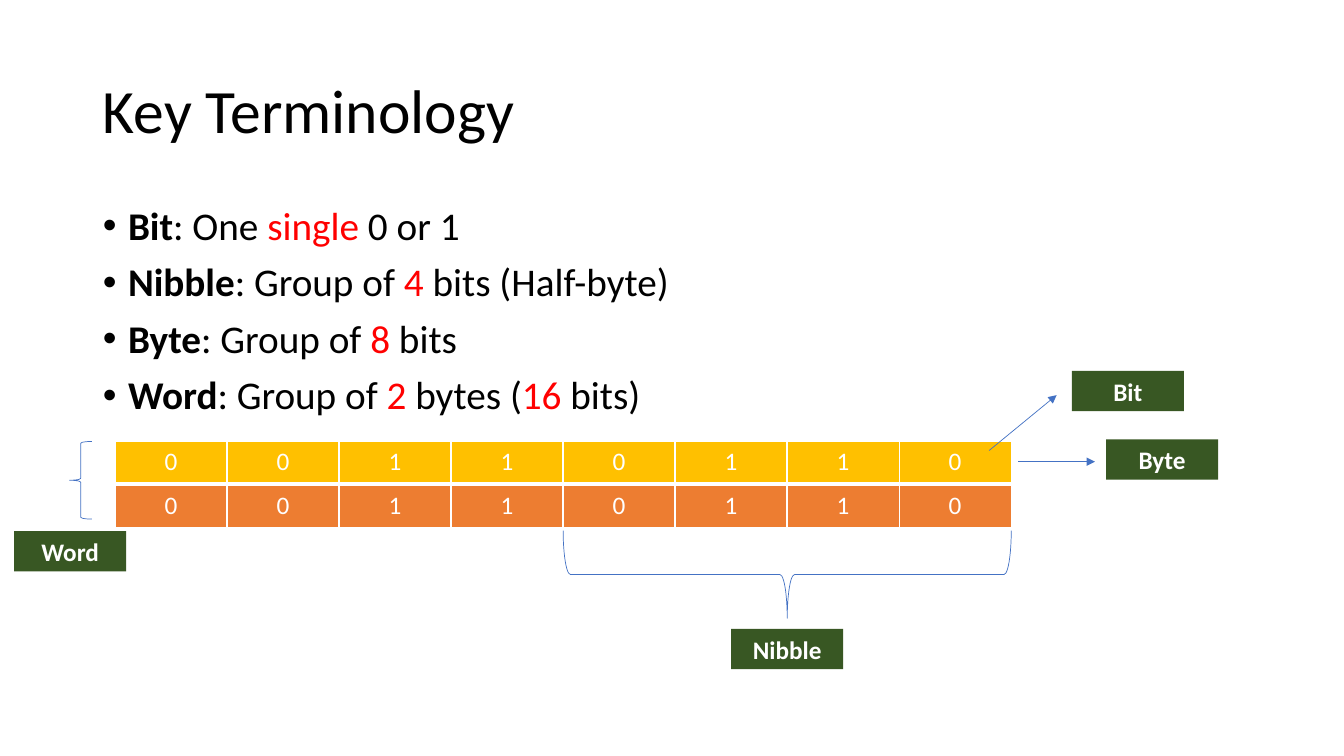
from pptx import Presentation
from pptx.dml.color import RGBColor
from pptx.enum.shapes import MSO_CONNECTOR as Connector, MSO_SHAPE as Shape
from pptx.enum.text import MSO_ANCHOR as Anchor, MSO_AUTO_SIZE as AutoSize, PP_ALIGN as Align
from pptx.oxml.ns import qn
from pptx.util import Inches, Pt
from lxml.etree import SubElement

FONT = "Calibri"
BLACK, WHITE, RED = "000000", "FFFFFF", "FF0000"
GOLD, ORANGE, GREEN, BLUE = "FFC000", "ED7D31", "385723", "4472C4"
BITS = "00110110"
GRID_LEFT, GRID_TOP = 1.14, 4.38
BIT_WIDTH, ROW_HEIGHT, ROW_STEP = 8.89 / len(BITS), 0.41, 0.44
LABEL_HEIGHT = 0.4
TERMS = [
    ("Bit", ": One *single* 0 or 1"),
    ("Nibble", ": Group of *4* bits (Half-byte)"),
    ("Byte", ": Group of *8* bits"),
    ("Word", ": Group of *2* bytes (*16* bits)"),
]


def column(number):
    return GRID_LEFT + number * BIT_WIDTH


def row(number):
    return GRID_TOP + number * ROW_STEP


def color(value):
    return RGBColor.from_string(value)


def style(para, size, shade, align, bold=False):
    para.alignment = align
    para.font.name = FONT
    para.font.size = Pt(size)
    para.font.bold = bold
    para.font.color.rgb = color(shade)


def place(box, left, top, width, height):
    box.left, box.top = Inches(left), Inches(top)
    box.width, box.height = Inches(width), Inches(height)


def add_title(page, text):
    title = page.shapes.title
    place(title, 0.92, 0.4, 11.5, 1.45)
    title.text_frame.text = text
    title.text_frame.vertical_anchor = Anchor.MIDDLE
    para = title.text_frame.paragraphs[0]
    para.line_spacing = 0.9
    style(para, 44, BLACK, Align.LEFT)


def add_terms(page):
    body = page.placeholders[1]
    place(body, 0.92, 2, 11.5, 4.76)
    frame = body.text_frame
    frame.auto_size = AutoSize.NONE
    for index, (term, meaning) in enumerate(TERMS):
        para = frame.add_paragraph() if index else frame.paragraphs[0]
        style(para, 28, BLACK, Align.LEFT)
        para.line_spacing, para.space_before = 0.9, Pt(10)
        properties = para._p.get_or_add_pPr()
        properties.set("marL", str(Inches(0.25)))
        properties.set("indent", str(-Inches(0.25)))
        span = para.add_run()
        span.text, span.font.bold = term, True
        for part, text in enumerate(meaning.split("*")):
            span = para.add_run()
            span.text = text
            if part % 2:
                span.font.color.rgb = color(RED)


def add_byte(page, number, fill):
    table = page.shapes.add_table(
        1, len(BITS), Inches(column(0)), Inches(row(number)),
        Inches(BIT_WIDTH * len(BITS)), Inches(ROW_HEIGHT)).table
    for cell, bit in zip(table.iter_cells(), BITS):
        cell.text = bit
        cell.fill.solid()
        cell.fill.fore_color.rgb = color(fill)
        style(cell.text_frame.paragraphs[0], 18, WHITE, Align.CENTER)


def add_label(page, text, left, top):
    box = page.shapes.add_shape(Shape.RECTANGLE, Inches(left), Inches(top),
                                Inches(BIT_WIDTH), Inches(LABEL_HEIGHT))
    box.shadow.inherit = False
    box.fill.solid()
    box.fill.fore_color.rgb = color(GREEN)
    box.line.fill.background()
    box.text_frame.text = text
    style(box.text_frame.paragraphs[0], 18, WHITE, Align.CENTER, True)


def draw_thin(line):
    line.color.rgb = color(BLUE)
    line.width = Pt(0.5)


def add_arrow(page, start, end):
    arrow = page.shapes.add_connector(
        Connector.STRAIGHT, *(Inches(length) for length in start + end))
    draw_thin(arrow.line)
    SubElement(arrow.line._get_or_add_ln(), qn("a:tailEnd"), type="triangle")
    SubElement(arrow._element.spPr, qn("a:effectLst"))


def add_brace(page, kind, left, top, width, height, rotation=0):
    brace = page.shapes.add_shape(kind, Inches(left), Inches(top),
                                  Inches(width), Inches(height))
    brace.shadow.inherit = False
    brace.fill.background()
    brace.rotation = rotation
    draw_thin(brace.line)


def main():
    deck = Presentation()
    deck.slide_width, deck.slide_height = Inches(13.33), Inches(7.5)
    page = deck.slides.add_slide(deck.slide_layouts[1])
    add_title(page, "Key Terminology")
    add_terms(page)
    for number, fill in enumerate((GOLD, ORANGE)):
        add_byte(page, number, fill)

    add_arrow(page, (9.81, 4.47), (10.48, 3.92))
    add_label(page, "Bit", 10.63, 3.68)
    add_label(page, "Byte", 10.97, 4.36)
    add_arrow(page, (10.1, 4.58), (10.86, 4.58))

    add_brace(page, Shape.LEFT_BRACE, 0.69, row(0), 0.22, 0.77)
    add_label(page, "Word", 0.14, row(2) + 0.01)

    nibble_center, depth, span = column(6), 0.87, BIT_WIDTH * 4
    add_brace(page, Shape.RIGHT_BRACE, nibble_center - depth / 2,
              5.7 - span / 2, depth, span, 90)
    add_label(page, "Nibble", nibble_center - BIT_WIDTH / 2, 6.24)
    deck.save("out.pptx")


if __name__ == "__main__":
    main()
